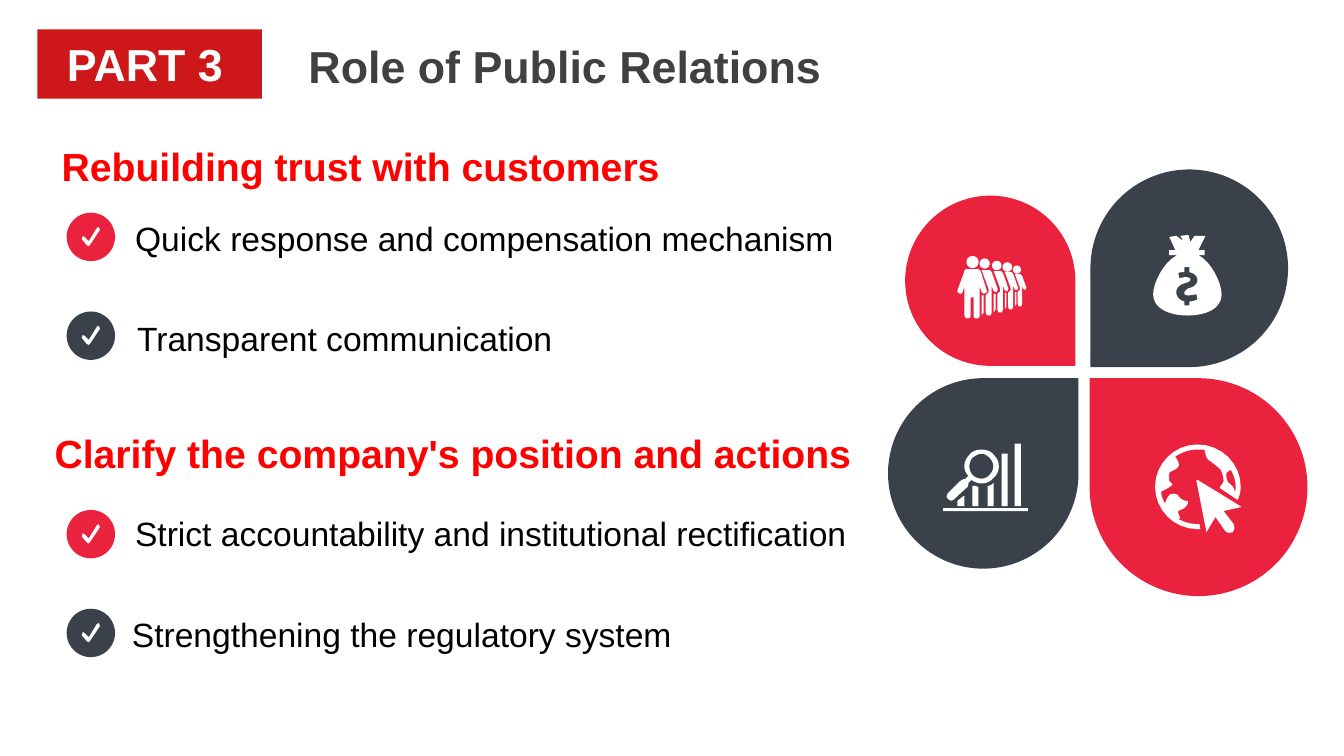
import math
from pptx import Presentation
from pptx import util as u
from pptx.dml.color import RGBColor
from pptx.enum import shapes as sh, text as tx

RED = RGBColor(0xEB, 0x22, 0x3D)
DARK = RGBColor(0x3A, 0x41, 0x4B)
BANNER = RGBColor(0xCE, 0x17, 0x19)
BRIGHT = RGBColor(0xFF, 0x00, 0x00)
GREY = RGBColor(0x40, 0x40, 0x40)
BLACK = RGBColor(0x00, 0x00, 0x00)
WHITE = RGBColor(0xFF, 0xFF, 0xFF)

# Content: boxes are left, top, width, height in cm
TITLE = ("Role of Public Relations", (7.52, 0.84, 20.57, 1.63))
PART = ("PART 3", (0.94, 0.74, 5.66, 1.75))
PITCH = 2.49
# Heading, its box, list box, top of first check, (item, indent)
GROUPS = [
    ("Rebuilding trust with customers", (1.3, 3.45, 19.05, 1.45),
     (3.15, 5.36, 20.9, 3.76), 5.36,
     [("Quick response and compensation mechanism", 0),
      ("Transparent communication", 0.05)]),
    ("Clarify the company's position and actions", (1.12, 10.69, 22.43, 1.45),
     (3.07, 12.8, 20.9, 3.76), 12.85,
     [("Strict accountability and institutional rectification", 0.08),
      ("Strengthening the regulatory system", 0)]),
]
# Petals: left, top, size, turn, colour
PETALS = [(22.81, 4.93, 4.29, 90, RED), (27.48, 4.27, 4.98, 180, DARK),
          (27.46, 9.53, 5.49, 270, RED), (22.38, 9.53, 4.8, 0, DARK)]

# Text formats
HEAD = dict(size=u.Pt(28), bold=True, name="Arial", color=BRIGHT)
ITEM = dict(size=u.Pt(24), bold=False, name="Arial", color=BLACK)
TOP = dict(size=u.Pt(32), bold=True, name="Arial", color=GREY)
LABEL = dict(TOP, color=WHITE)

# Icon outlines in units of UNIT cm: pairs are corners, sixes are curves
UNIT = 0.0254
TICK = [[(7, 19), (5, 18), (0, 12), (1, 9), (3, 10), (7, 14), (15, 1),
         (17, 0), (18, 3), (8, 18)]]
BAG = [
    [(35, 0), (27, 1), (30, 6), (23, 1), (16, 2), (22, 15), (16, 15), (16, 20),
     (24, 20), (10, 27, 0, 48, 0, 59), (0, 73, 16, 80, 34, 80),
     (53, 80, 68, 73, 68, 59), (68, 48, 58, 27, 45, 20), (51, 20), (51, 15),
     (45, 15), (52, 1), (41, 1), (37, 7)],
    [(36, 32), (36, 37), (41, 38, 44, 41, 44, 45), (44, 49, 40, 52, 35, 53),
     (32, 55, 31, 56, 31, 58), (31, 59, 32, 60, 35, 60),
     (38, 60, 41, 59, 43, 59), (44, 64), (42, 65, 39, 66, 36, 66), (36, 70),
     (31, 70), (31, 66), (26, 65, 23, 61, 23, 57), (23, 53, 25, 50, 31, 48),
     (35, 47, 37, 46, 37, 44), (37, 43, 36, 42, 32, 42),
     (29, 42, 27, 43, 26, 43), (25, 38), (26, 37, 28, 37, 31, 37), (31, 32)],
]
GLOBE = [
    [(42, 35), (86, 62), (68, 66), (78, 79), (79, 82, 79, 85, 77, 87),
     (74, 88, 71, 88, 69, 85), (60, 72), (51, 87), (41, 36)],
    [(75, 25), (74, 26, 72, 27, 71, 28), (70, 30, 71, 37, 74, 39),
     (77, 41, 79, 44, 79, 47), (80, 46, 80, 44, 80, 42),
     (80, 36, 78, 30, 75, 25)],
    [(42, 0), (66, 0, 85, 19, 85, 42), (85, 46, 84, 51, 82, 55), (64, 43),
     (65, 41, 68, 38, 68, 36), (68, 33, 66, 25, 64, 24),
     (63, 23, 57, 18, 54, 16), (51, 15, 50, 9, 49, 5), (47, 5, 45, 5, 42, 5),
     (34, 5, 26, 8, 20, 12), (22, 15, 25, 20, 23, 22),
     (21, 26, 14, 26, 14, 29), (14, 32, 14, 35, 14, 36),
     (15, 38, 19, 39, 16, 41), (14, 43, 9, 45, 6, 47), (6, 51, 8, 55, 10, 59),
     (10, 57, 13, 50, 16, 49), (19, 49, 21, 48, 24, 52),
     (26, 55, 30, 56, 32, 56), (34, 56, 32, 63, 25, 65),
     (19, 66, 28, 74, 23, 74), (29, 77, 35, 79, 42, 79), (44, 79), (45, 84),
     (42, 84), (19, 84, 0, 65, 0, 42), (0, 19, 19, 0, 42, 0)],
]
CHART = [
    [(0, 64), (84, 64), (84, 67), (0, 67)],
    [(20, 52), (21, 52), (21, 62), (14, 62), (14, 57)],
    [(29, 42), (32, 42), (35, 43), (35, 62), (29, 62)],
    [(50, 39), (50, 62), (44, 62), (44, 42), (46, 42, 48, 41, 50, 39)],
    [(58, 10), (64, 10), (64, 62), (58, 62)],
    [(71, 0), (77, 0), (77, 62), (71, 62)],
    [(38, 6), (42, 6, 47, 7, 50, 11), (57, 17, 57, 28, 50, 34),
     (44, 41, 35, 41, 28, 36), (25, 39), (25, 40, 25, 42, 24, 43), (11, 55),
     (9, 57, 7, 57, 5, 55), (3, 54, 3, 51, 5, 49), (17, 37),
     (19, 36, 20, 35, 22, 35), (25, 32), (19, 26, 20, 17, 26, 11),
     (29, 7, 34, 6, 38, 6)],
    [(38, 10), (35, 10, 32, 12, 29, 14), (25, 19, 25, 26, 29, 31),
     (34, 36, 42, 36, 46, 31), (51, 26, 51, 19, 46, 14),
     (44, 12, 41, 10, 38, 10)],
]
FRONT = [
    (9, 13), (20, 13), (21, 13, 22, 14, 23, 15), (29, 34),
    (30, 35, 29, 37, 27, 37), (26, 38, 25, 37, 24, 36), (22, 30), (22, 59),
    (22, 61, 21, 62, 19, 62), (17, 62, 16, 61, 16, 59), (16, 41), (13, 41),
    (13, 59), (13, 61, 12, 62, 10, 62), (9, 62, 7, 61, 7, 59), (7, 30),
    (5, 36), (5, 37, 3, 38, 2, 37), (0, 37, 0, 35, 0, 34), (7, 15),
    (7, 14, 8, 13, 9, 13)]
# Half-hidden figure: body with arm, then the other leg
BACK = [[(0, 0), (8, 0), (10, 2), (16, 19), (15, 22), (12, 21), (10, 16),
         (10, 42), (9, 45), (5, 45), (4, 42), (4, 25), (7, 22), (7, 19)],
        [(0, 25), (2, 25), (2, 42), (0, 45)]]
ROW = [(24, 14, 1), (36, 15, 0.91), (47, 16, 0.82), (57, 18, 0.71)]
HEADS = [(15, 6, 6), (27, 7.5, 5), (39, 9.5, 4.7), (49.5, 11, 4.7), (59, 13.5, 4)]


def ring(x, y, r):
    turns = [math.tau * i / 24 for i in range(24)]
    return [(x + r * math.cos(t), y + r * math.sin(t)) for t in turns]


CROWD = [FRONT] + [ring(*h) for h in HEADS] + [
    [(x + s * a, y + s * b) for a, b in part]
    for x, y, s in ROW for part in BACK]
ICONS = [(24.13, 6.45, CROWD), (29.06, 5.92, BAG),
         (29.11, 11.2, GLOBE), (23.77, 11.18, CHART)]

# Slide
deck = Presentation()
deck.slide_width, deck.slide_height = u.Cm(33.87), u.Cm(19.05)
slide = deck.slides.add_slide(deck.slide_layouts[4])
title, *slots = slide.placeholders


def place(item, box):
    for key, val in zip(("left", "top", "width", "height"), box):
        setattr(item, key, u.Cm(val))


def paint(item, color):
    item.shadow.inherit = False
    item.fill.solid()
    item.fill.fore_color.rgb = color
    item.line.fill.background()
    return item


def add(kind, box, color):
    return paint(slide.shapes.add_shape(kind, *map(u.Cm, box)), color)


def write(item, lines, form, anchor=tx.MSO_ANCHOR.TOP, align=tx.PP_ALIGN.LEFT):
    frame = item.text_frame
    frame.text = "\n".join(lines)
    for key, val in dict(word_wrap=True, auto_size=tx.MSO_AUTO_SIZE.NONE,
                         vertical_anchor=anchor).items():
        setattr(frame, key, val)
    for par in frame.paragraphs:
        par.alignment, par.space_before = align, u.Pt(0)
        for key, val in form.items():
            if key == "color":
                par.runs[0].font.color.rgb = val
            else:
                setattr(par.runs[0].font, key, val)
    return frame


def trace(outline):
    pts = [outline[0]]
    for step in outline[1:]:
        if len(step) == 2:
            pts.append(step)
            continue
        knots = [pts[-1], step[:2], step[2:4], step[4:]]
        for t in (i / 8 for i in range(1, 9)):
            mix = ((1 - t) ** 3, 3 * t * (1 - t) ** 2, 3 * t * t * (1 - t), t ** 3)
            pts.append(tuple(sum(m * k[d] for m, k in zip(mix, knots))
                             for d in (0, 1)))
    return pts


def draw(left, top, icon):
    pen = None
    for outline in icon:
        pts = [(u.Cm(left + x * UNIT), u.Cm(top + y * UNIT))
               for x, y in trace(outline)]
        if pen is None:
            pen = slide.shapes.build_freeform(*pts[0], scale=1.0)
        else:
            pen.move_to(*pts[0])
        pen.add_line_segments(pts[1:], close=True)
    paint(pen.convert_to_shape(), WHITE)


# Title and part label
place(title, TITLE[1])
write(title, [TITLE[0]], TOP, tx.MSO_ANCHOR.BOTTOM)
label = add(sh.MSO_SHAPE.RECTANGLE, PART[1], BANNER)
write(label, [PART[0]], LABEL, tx.MSO_ANCHOR.MIDDLE,
      tx.PP_ALIGN.CENTER).margin_right = u.Cm(0.48)

# Headings, lists and check marks
for (head, hbox, lbox, first, items), hslot, lslot in zip(
        GROUPS, slots[::2], slots[1::2]):
    place(hslot, hbox)
    write(hslot, [head], HEAD)
    place(lslot, lbox)
    frame = write(lslot, [name for name, _ in items], ITEM)
    frame.paragraphs[1].space_before = u.Pt(43)
    for i, (par, color) in enumerate(zip(frame.paragraphs, (RED, DARK))):
        props = par._p.get_or_add_pPr()
        props.set("marL", str(u.Cm(items[i][1])))
        props.set("indent", "0")
        props.append(props.makeelement(
            "{http://schemas.openxmlformats.org/drawingml/2006/main}buNone", {}))
        top = first + i * PITCH
        add(sh.MSO_SHAPE.OVAL, (1.68, top, 1.22, 1.22), color)
        draw(2.06, top + 0.36, TICK)

# Petals with icons
for (left, top, size, turn, color), icon in zip(PETALS, ICONS):
    add(sh.MSO_SHAPE.TEAR, (left, top, size, size), color).rotation = turn
    draw(*icon)

deck.save("out.pptx")
